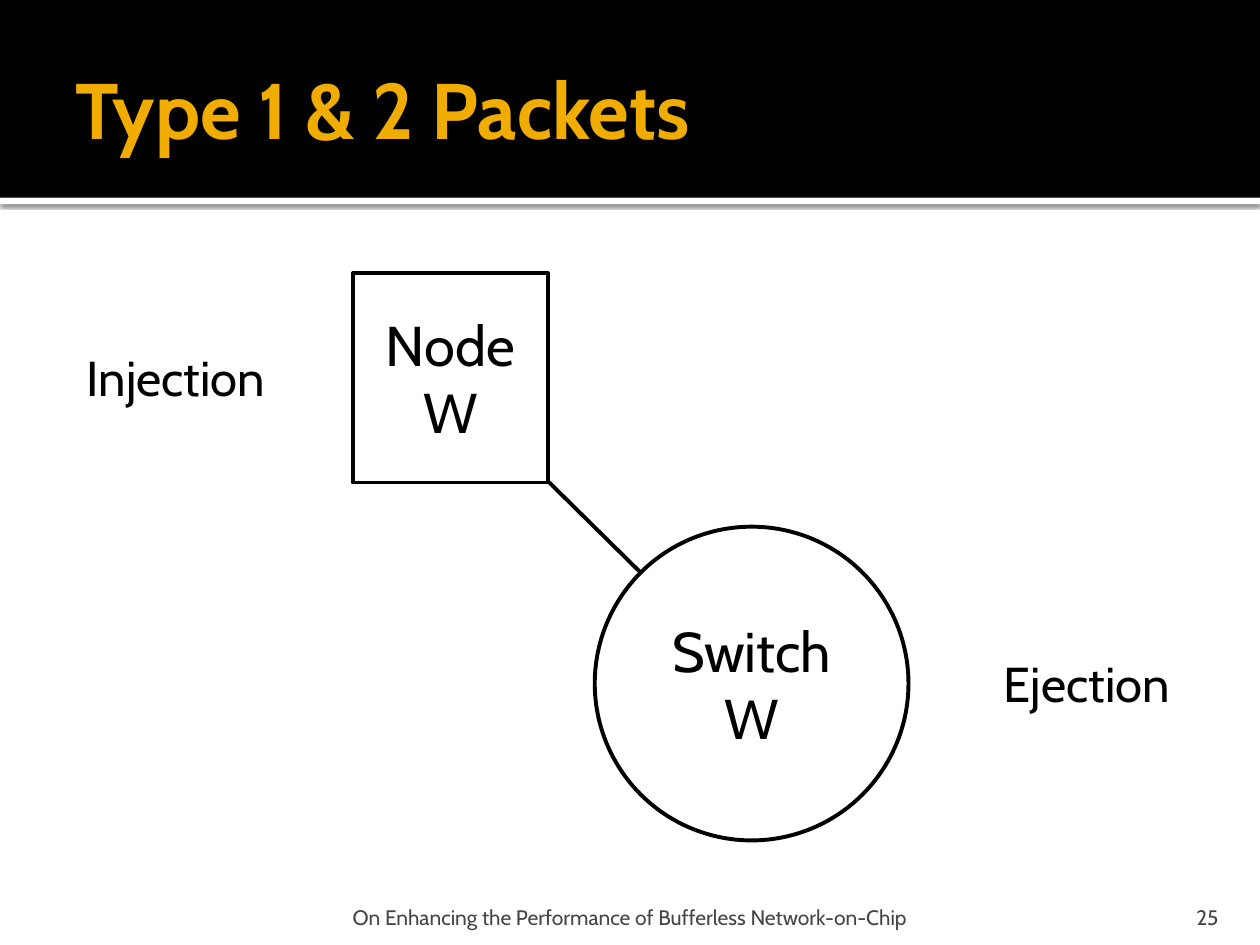
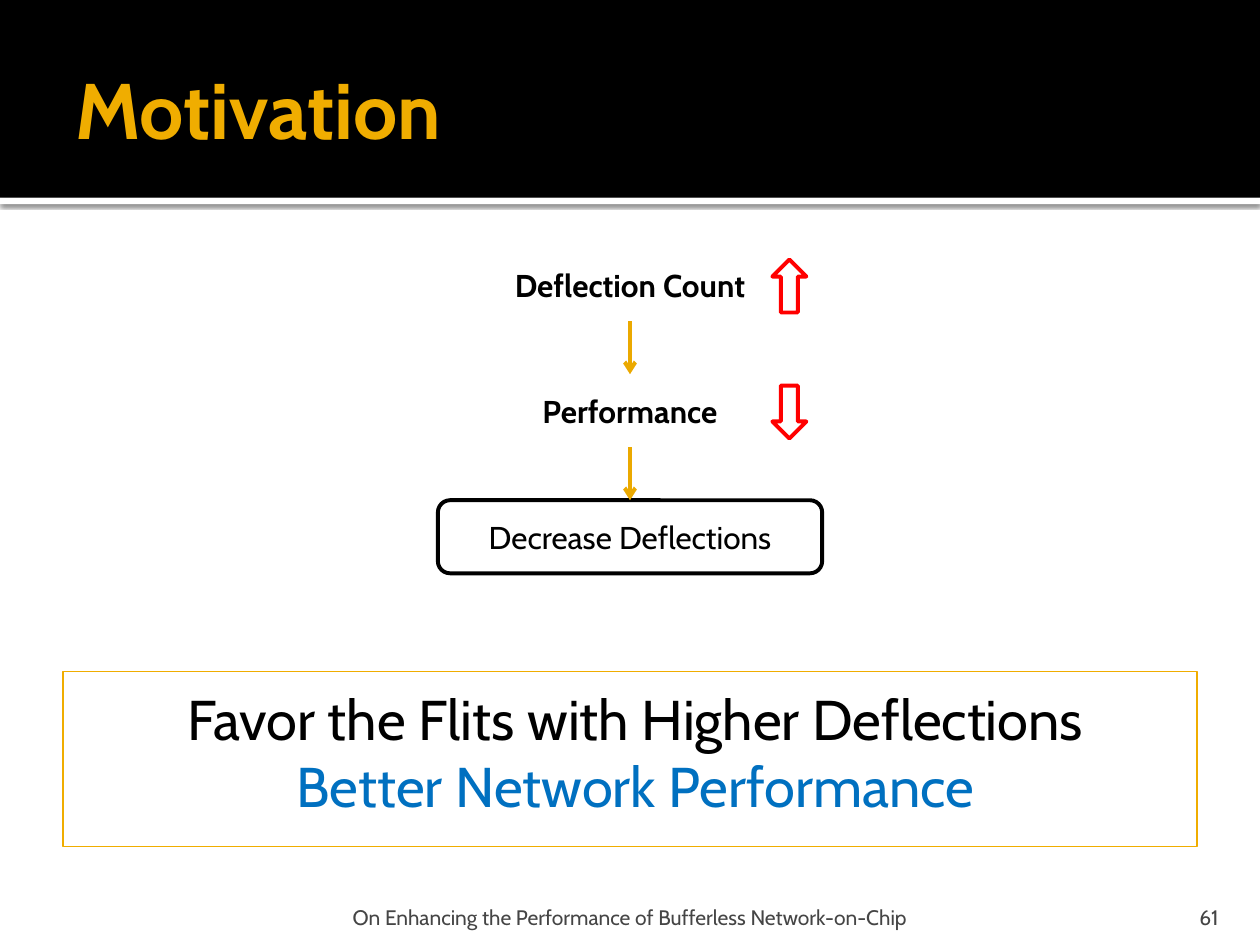
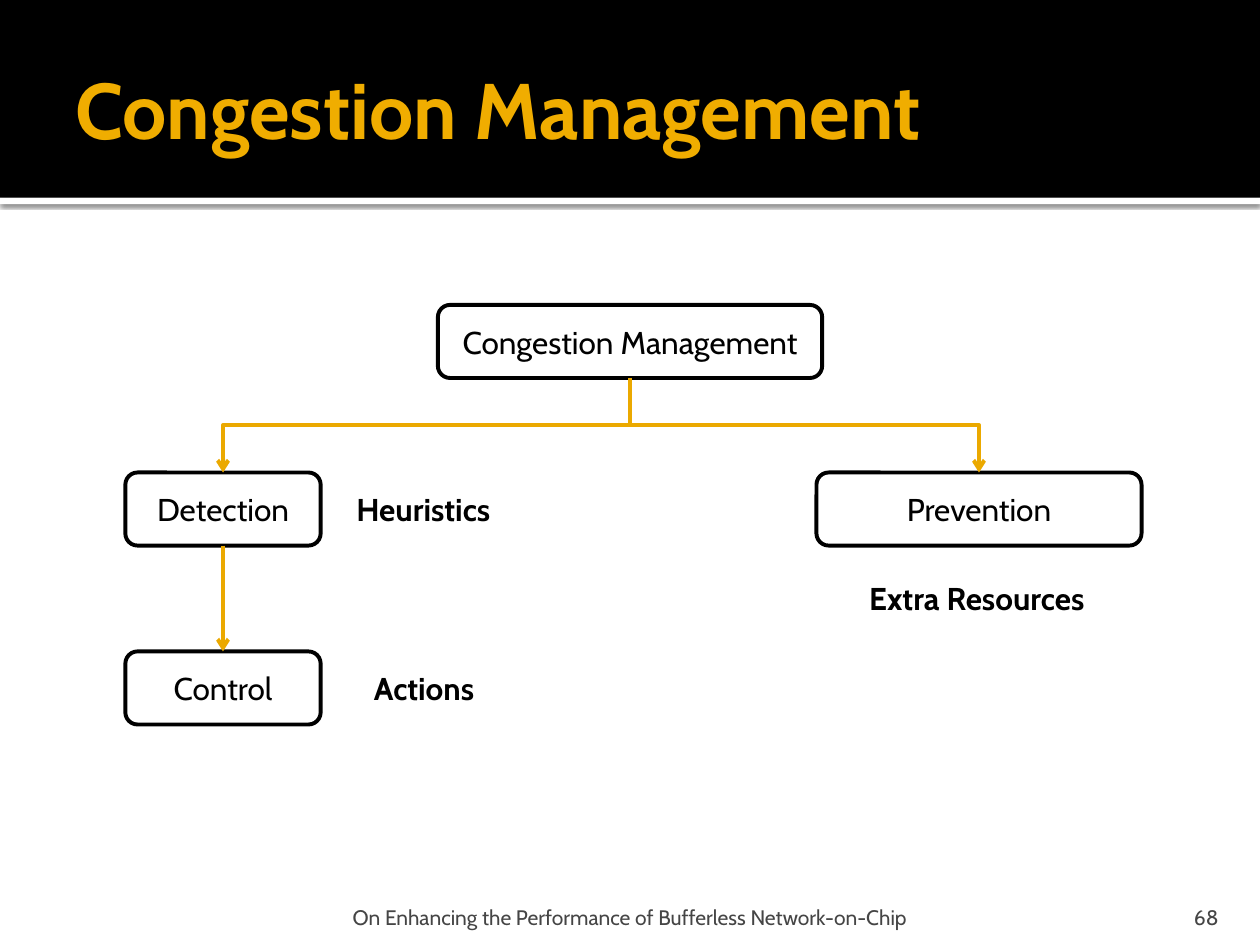
from lxml.etree import SubElement
from pptx import Presentation
from pptx.dml.color import RGBColor
from pptx.enum.shapes import MSO_CONNECTOR, MSO_SHAPE
from pptx.enum.text import MSO_ANCHOR, PP_ALIGN
from pptx.oxml.ns import qn
from pptx.util import Inches, Pt

WIDTH, HEIGHT = 10, 7.5
BAND_HEIGHT = 1.57
BOX_HEIGHT = 0.58
CENTRE = WIDTH / 2
FONT = "Cabin"
BLACK, WHITE, GREY = "000000", "FFFFFF", "454545"
GOLD, AMBER, RED, BLUE = "F0AD00", "EBA900", "FF0000", "0070C0"
FOOTER = "On Enhancing the Performance of Bufferless Network-on-Chip"
LEFT, CENTRED, RIGHT = PP_ALIGN.LEFT, PP_ALIGN.CENTER, PP_ALIGN.RIGHT
TOP, MIDDLE, BOTTOM = MSO_ANCHOR.TOP, MSO_ANCHOR.MIDDLE, MSO_ANCHOR.BOTTOM

PACKET_LABELS = [("Injection", 0.52, 2.71), ("Ejection", 7.75, 5.14)]
MOTIVATION_STEPS = [
    ("Deflection Count", 3.99, {"line": None, "bold": True}),
    ("Performance", 6.08, {"line": None, "bold": True}),
    ("Decrease Deflections", 3.05, {}),
]
CONCLUSION = [("Favor the Flits with Higher Deflections", BLACK), ("Better Network Performance", BLUE)]
TREE_COLUMNS = {"left": 1.77, "centre": CENTRE, "right": 7.77}
TREE_ROWS = [2.42, 3.75, 5.17]
TREE_BOXES = [
    ("Congestion Management", "centre", 0, 3.05),
    ("Detection", "left", 1, 1.55),
    ("Prevention", "right", 1, 2.58),
    ("Control", "left", 2, 1.55),
]
TREE_LINKS = [("centre", 0, "left"), ("centre", 0, "right"), ("left", 1, "left")]
TREE_LABELS = [
    ("Heuristics", 2.73, 3.84, 1.33),
    ("Actions", 2.87, 5.26, 1.03),
    ("Extra Resources", 6.8, 4.55, 1.94),
]


def colour(hex_string):
    return RGBColor.from_string(hex_string)


def write_text(shape, paragraphs, size=18, color=BLACK, bold=False, align=CENTRED,
               anchor=MIDDLE, insets=(0.1, 0.05, 0.1, 0.05), wrap=True, indent=0):
    if isinstance(paragraphs, str):
        paragraphs = [(paragraphs, color)]
    frame = shape.text_frame
    frame.word_wrap = wrap
    frame.vertical_anchor = anchor
    frame.margin_left, frame.margin_top, frame.margin_right, frame.margin_bottom = map(Inches, insets)
    for index, (text, text_color) in enumerate(paragraphs):
        paragraph = frame.paragraphs[0] if index == 0 else frame.add_paragraph()
        paragraph.alignment = align
        if indent:
            paragraph._p.get_or_add_pPr().set("marL", str(Inches(indent)))
        run = paragraph.add_run()
        run.text = text
        run.font.name = FONT
        run.font.size = Pt(size)
        run.font.bold = bold
        run.font.color.rgb = colour(text_color)


def add_text(slide, text, left, top, width, height, **text_format):
    box = slide.shapes.add_textbox(*map(Inches, (left, top, width, height)))
    write_text(box, text, **text_format)


def add_figure(slide, kind, left, top, width, height, fill=WHITE, line=BLACK, line_width=2.25):
    shape = slide.shapes.add_shape(kind, *map(Inches, (left, top, width, height)))
    shape.shadow.inherit = False
    if fill:
        shape.fill.solid()
        shape.fill.fore_color.rgb = colour(fill)
    else:
        shape.fill.background()
    if line:
        shape.line.color.rgb = colour(line)
        shape.line.width = Pt(line_width)
    else:
        shape.line.fill.background()
    return shape


def add_box(slide, text, centre, top, width, line=BLACK, bold=False):
    box = add_figure(slide, MSO_SHAPE.ROUNDED_RECTANGLE, centre - width / 2, top, width, BOX_HEIGHT, line=line)
    write_text(box, text, bold=bold)


def add_line(slide, start, end, color=AMBER, kind=MSO_CONNECTOR.STRAIGHT, arrow=True):
    connector = slide.shapes.add_connector(kind, *map(Inches, (*start, *end)))
    connector.line.color.rgb = colour(color)
    connector.line.width = Pt(2.25)
    if arrow:
        SubElement(connector.line._get_or_add_ln(), qn("a:tailEnd"), type="arrow")
    SubElement(connector.element.spPr, qn("a:effectLst"))
    return connector


def add_vertical_elbow(slide, start, end):
    run, drop = end[0] - start[0], end[1] - start[1]
    middle_x, middle_y = (start[0] + end[0]) / 2, (start[1] + end[1]) / 2
    side = drop / 2 if run > 0 else -drop / 2
    half_run = abs(run) / 2
    connector = add_line(slide, (middle_x + side, middle_y - half_run),
                         (middle_x - side, middle_y + half_run), kind=MSO_CONNECTOR.ELBOW)
    degrees = 270 if run > 0 else 90
    connector.element.spPr.find(qn("a:xfrm")).set("rot", str(degrees * 60000))


def add_band_shadow(strip):
    effects = strip.element.spPr.find(qn("a:effectLst"))
    shadow = SubElement(effects, qn("a:outerShdw"), blurRad=str(Pt(2.5)), dist=str(Pt(0.8)),
                        dir=str(90 * 60000), algn="tl", rotWithShape="0")
    shade = SubElement(shadow, qn("a:srgbClr"), val=BLACK)
    SubElement(shade, qn("a:alpha"), val="60000")


def add_slide(presentation, title, number):
    slide = presentation.slides.add_slide(presentation.slide_layouts[6])
    strip = add_figure(slide, MSO_SHAPE.RECTANGLE, 0, BAND_HEIGHT, WIDTH, 0.05, line=None)
    add_band_shadow(strip)
    add_figure(slide, MSO_SHAPE.RECTANGLE, 0, 0, WIDTH, BAND_HEIGHT, fill=BLACK, line=None)
    add_text(slide, title, 0.5, 0.17, 9, 1.37, size=45, color=GOLD, bold=True, align=LEFT,
             insets=(0.1, 0.05, 0.05, 0.05))
    add_text(slide, FOOTER, 1.99, 7.08, 6.02, 0.3, size=12, color=GREY, anchor=BOTTOM,
             insets=(0.05, 0.05, 0.05, 0))
    add_text(slide, str(number), 8.97, 7.08, 0.8, 0.3, size=12, color=GREY, align=RIGHT,
             anchor=BOTTOM, insets=(0.1, 0.05, 0.1, 0))
    return slide


def build_packets(presentation):
    slide = add_slide(presentation, "Type 1 & 2 Packets", 25)
    switch = add_figure(slide, MSO_SHAPE.OVAL, 4.72, 4.18, 2.49, 2.49)
    write_text(switch, "Switch W", size=32)
    node = add_figure(slide, MSO_SHAPE.RECTANGLE, 2.8, 2.17, 1.55, 1.66)
    write_text(node, "Node W", size=32)
    add_line(slide, (4.35, 3.82), (5.08, 4.54), color=BLACK, arrow=False)
    for text, left, top in PACKET_LABELS:
        add_text(slide, text, left, top, 1.75, 0.57, size=28, anchor=TOP)


def build_motivation(presentation):
    slide = add_slide(presentation, "Motivation", 61)
    tops = [1.97 + step for step in range(len(MOTIVATION_STEPS))]
    for top, (text, width, look) in zip(tops, MOTIVATION_STEPS):
        add_box(slide, text, CENTRE, top, width, **look)
    for top, next_top in zip(tops, tops[1:]):
        add_line(slide, (CENTRE, top + BOX_HEIGHT), (CENTRE, next_top))
    for top, kind in zip(tops, (MSO_SHAPE.UP_ARROW, MSO_SHAPE.DOWN_ARROW)):
        add_figure(slide, kind, 6.13, top + 0.09, 0.27, 0.42, line=RED)
    panel = add_figure(slide, MSO_SHAPE.RECTANGLE, 0.5, 5.33, 9, 1.39, fill=None, line=GOLD, line_width=0.75)
    write_text(panel, CONCLUSION, size=32, anchor=TOP, insets=(0.06, 0.1, 0.1, 0.05), indent=0.13)


def build_congestion(presentation):
    slide = add_slide(presentation, "Congestion Management", 68)
    for text, column, row, width in TREE_BOXES:
        add_box(slide, text, TREE_COLUMNS[column], TREE_ROWS[row], width)
    for column, row, target in TREE_LINKS:
        start = (TREE_COLUMNS[column], TREE_ROWS[row] + BOX_HEIGHT)
        end = (TREE_COLUMNS[target], TREE_ROWS[row + 1])
        link = add_line if column == target else add_vertical_elbow
        link(slide, start, end)
    for text, left, top, width in TREE_LABELS:
        add_text(slide, text, left, top, width, 0.4, bold=True, align=LEFT, anchor=TOP, wrap=False)


def main():
    presentation = Presentation()
    presentation.slide_width = Inches(WIDTH)
    presentation.slide_height = Inches(HEIGHT)
    build_packets(presentation)
    build_motivation(presentation)
    build_congestion(presentation)
    presentation.save("out.pptx")


if __name__ == "__main__":
    main()
